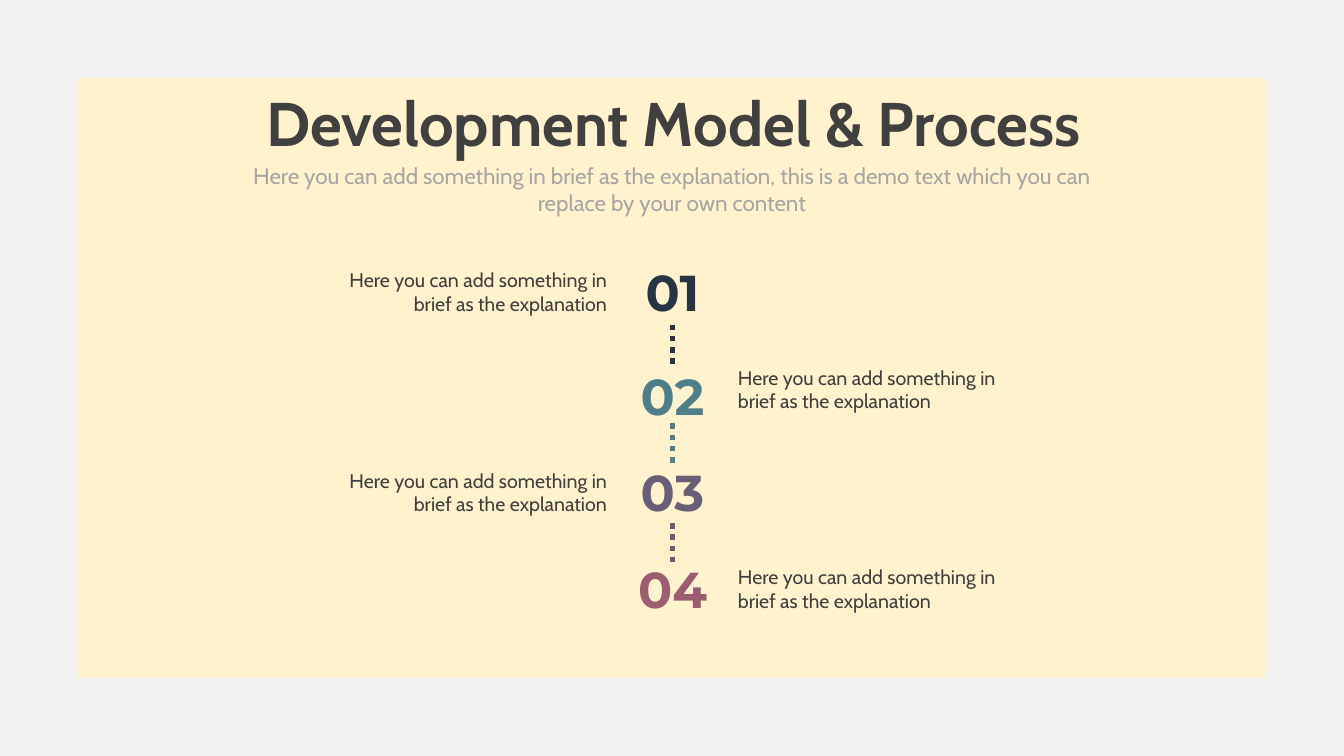
from dataclasses import dataclass

from pptx import Presentation
from pptx.dml.color import RGBColor
from pptx.enum.dml import MSO_LINE
from pptx.enum.shapes import MSO_CONNECTOR, MSO_SHAPE
from pptx.enum.text import MSO_ANCHOR, MSO_AUTO_SIZE, PP_ALIGN
from pptx.oxml.ns import qn
from pptx.util import Inches, Pt

TITLE = "Development Model & Process"
SUBTITLE = [
    "Here you can add something in brief as the explanation, this is a demo text which you can",
    "replace by your own content",
]
NOTE = "Here you can add something in brief as the explanation"
# number, colour, number top, note top, dotted line top (inches)
STEPS = [
    ("01", "273445", 2.54, 2.61, 3.22),
    ("02", "4C7F8A", 3.57, 3.58, 4.20),
    ("03", "695E78", 4.53, 4.60, 5.19),
    ("04", "9C5D71", 5.49, 5.56, None),
]


@dataclass(frozen=True)
class Theme:
    background: str = "FFF2CC"
    frame: str = "F2F2F2"
    text: str = "404040"
    muted: str = "A6A6A6"
    body_font: str = "Cabin"
    number_font: str = "Montserrat"
    title_size: int = 44
    number_size: int = 36
    subtitle_size: int = 16
    note_size: int = 14
    dot_width: int = 4


THEME = Theme()
SLIDE_W, SLIDE_H = 13.33, 7.5
CENTER = 6.67
NUMBER_W, NUMBER_H = 1.1, 0.71
NUMBER_LEFT = CENTER - NUMBER_W / 2
NOTE_W, NOTE_H = 2.88, 0.57
LINE_H = 0.4


def write(sp, paragraphs, size, color=THEME.text, font=THEME.body_font,
          bold=False, align=PP_ALIGN.CENTER):
    tf = sp.text_frame
    tf.word_wrap = True
    tf.auto_size = MSO_AUTO_SIZE.SHAPE_TO_FIT_TEXT
    tf.vertical_anchor = MSO_ANCHOR.TOP
    for i, text in enumerate(paragraphs):
        p = tf.add_paragraph() if i else tf.paragraphs[0]
        p.alignment = align
        p.line_spacing = 1.0
        p.space_before = Pt(0)
        r = p.add_run()
        r.text = text
        r.font.name = font
        r.font.size = Pt(size)
        r.font.bold = bold
        r.font.color.rgb = RGBColor.from_string(color)


def add_text(s, left, top, width, height, paragraphs, **style):
    box = s.shapes.add_textbox(Inches(left), Inches(top), Inches(width), Inches(height))
    write(box, paragraphs, **style)


def add_frame(s):
    frame = s.shapes.add_shape(MSO_SHAPE.FRAME, 0, 0, Inches(SLIDE_W), Inches(SLIDE_H))
    frame.adjustments[0] = 0.103
    frame.shadow.inherit = False
    frame.fill.solid()
    frame.fill.fore_color.rgb = RGBColor.from_string(THEME.frame)
    frame.line.fill.background()


def add_title(s):
    title = s.shapes.title
    title.left, title.top = Inches(0.79), Inches(0.79)
    title.width, title.height = Inches(11.78), Inches(0.84)
    write(title, [TITLE], size=THEME.title_size, bold=True)


def add_dotted_line(s, top, color):
    x = Inches(CENTER)
    line = s.shapes.add_connector(
        MSO_CONNECTOR.STRAIGHT, x, Inches(top), x, Inches(top + LINE_H))
    line.line.color.rgb = RGBColor.from_string(color)
    line.line.width = Pt(THEME.dot_width)
    line.line.dash_style = MSO_LINE.ROUND_DOT  # stored as sysDot
    sp_pr = line._element.spPr
    sp_pr.append(sp_pr.makeelement(qn("a:effectLst"), {}))


def add_step(s, index, number, color, number_top, note_top, line_top):
    """Add a number, its note on alternating sides and the line to the next step."""
    add_text(s, NUMBER_LEFT, number_top, NUMBER_W, NUMBER_H, [number],
             size=THEME.number_size, color=color, font=THEME.number_font, bold=True)
    on_left = index % 2 == 0
    note_left = NUMBER_LEFT - NOTE_W if on_left else NUMBER_LEFT + NUMBER_W
    add_text(s, note_left, note_top, NOTE_W, NOTE_H, [NOTE], size=THEME.note_size,
             align=PP_ALIGN.RIGHT if on_left else PP_ALIGN.LEFT)
    if line_top is not None:
        add_dotted_line(s, line_top, color)


def main():
    prs = Presentation()
    prs.slide_width, prs.slide_height = Inches(SLIDE_W), Inches(SLIDE_H)
    s = prs.slides.add_slide(prs.slide_layouts[5])
    s.background.fill.solid()
    s.background.fill.fore_color.rgb = RGBColor.from_string(THEME.background)
    add_frame(s)
    add_title(s)
    add_text(s, 2.41, 1.56, 8.51, 0.64, SUBTITLE,
             size=THEME.subtitle_size, color=THEME.muted)
    for i, step in enumerate(STEPS):
        add_step(s, i, *step)
    prs.save("out.pptx")


if __name__ == "__main__":
    main()
